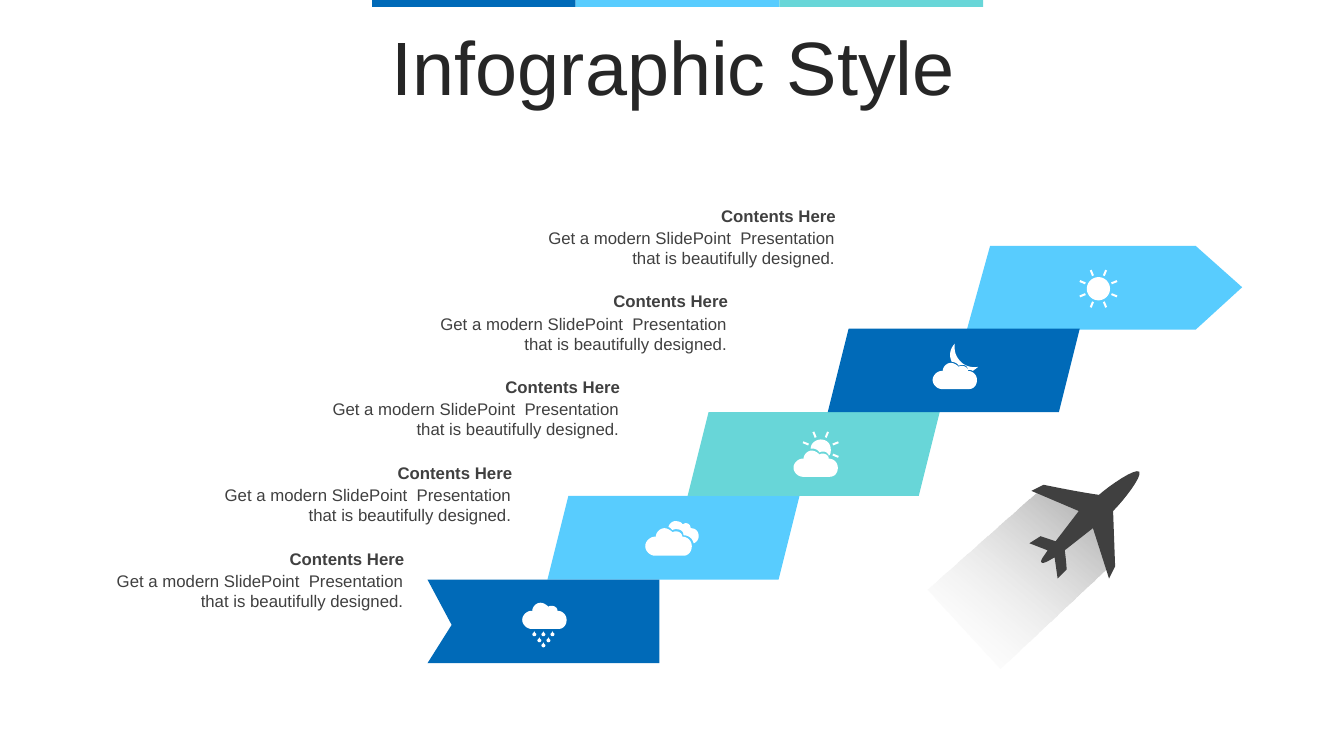
"""Build the "Infographic Style" slide: a rising ribbon of five weather steps and a plane."""
import math

import lxml.etree
import pptx
import pptx.dml.color
import pptx.enum.shapes
import pptx.enum.text
import pptx.oxml.ns
import pptx.util

RGB = pptx.dml.color.RGBColor
BLUE = RGB(0x00, 0x6A, 0xB8)
SKY = RGB(0x58, 0xCC, 0xFE)
TEAL = RGB(0x68, 0xD6, 0xD8)
WHITE = RGB(0xFF, 0xFF, 0xFF)
INK = RGB(0x26, 0x26, 0x26)
GRAY = RGB(0x40, 0x40, 0x40)
SILVER = RGB(0xA6, 0xA6, 0xA6)
FONT = "Arial"
ALIGN = pptx.enum.text.PP_ALIGN
MIDDLE = pptx.enum.text.MSO_ANCHOR.MIDDLE
SHAPE = pptx.enum.shapes.MSO_SHAPE

TITLE = "Infographic Style"
STEPS = [("Contents Here",
          "Get a modern SlidePoint  Presentation that is beautifully designed.")] * 5
BAR_COLORS = [BLUE, SKY, TEAL]
MIDDLE_COLORS = [SKY, TEAL, BLUE]

RIBBON_TAIL = "M 0 0 L 230 0 L 230 83 L 0 83 L 24 45"
RIBBON_HEAD = "M 23 0 L 227 0 L 273 41 L 227 83 L 0 83"
BEAM = "M 164 16 L 182 71 L 72 174 L 0 96 L 108 0"
PLANE = ("M 28 108 L 25 87 C 21 89 14 94 12 92 C 10 90 16 84 18 80 L 0 73 L 11 66 "
         "L 26 71 L 49 41 L 2 21 L 14 15 C 34 19 49 22 69 25 C 79 16 105 -2 109 2 "
         "C 112 7 93 31 83 41 L 85 96 L 79 108 L 63 58 L 35 80 C 36 85 37 99 37 99")
CLOUD = ("M 18 0 C 21 0 24 2 26 4 C 27 3 28 3 29 3 C 32 3 35 5 35 8 "
         "C 40 8 44 12 44 17 C 44 22 41 26 36 26 L 9 26 C 5 26 0 22 0 17 "
         "C 0 12 5 8 9 8 L 10 8 C 10 4 14 0 18 0")
BACK_CLOUD = ("M 30 0 C 33 0 36 1 37 3 C 38 3 39 2 40 2 C 43 2 45 4 45 7 "
              "C 50 7 53 10 53 15 C 53 18 51 21 48 22 C 47 17 43 14 38 14 "
              "C 38 10 35 8 31 8 C 30 8 28 8 27 9 C 26 8 25 6 23 6 C 24 2 27 0 30 0")
HIDDEN_SUN = ("M 27 8 C 33 8 37 12 37 18 C 37 20 37 23 35 24 C 35 22 32 20 30 20 "
              "C 28 20 27 20 26 21 C 25 19 22 17 19 17 L 17 17 C 17 12 22 8 27 8")
CRESCENT = ("M 22 0 C 21 7 23 13 28 18 C 32 22 38 24 45 23 C 43 25 41 26 40 27 "
            "C 38 26 37 26 36 26 L 35 26 C 35 23 33 21 30 21 C 28 21 27 21 26 22 "
            "C 25 20 22 18 19 18 C 16 12 17 5 22 0")
DROP = "M 0 0 C 0 1 1 2 2 3 C 2 6 -2 6 -2 3 C -1 2 0 1 0 0"
DROP_TIPS = [(12, 28), (21, 28), (30, 28), (17, 34), (26, 34), (21, 39)]


def contour(outline, dx=0, dy=0, scale=1):
    """Return the points of an outline, with its curves sampled."""
    tokens, points = outline.split(), []
    while tokens:
        n = 6 if tokens.pop(0) == "C" else 2
        v = [float(t) for t in tokens[:n]]
        del tokens[:n]
        if n == 2:
            points.append((v[0], v[1]))
            continue
        curve = [points[-1], v[0:2], v[2:4], v[4:6]]
        for k in range(1, 9):
            t = k / 8
            weights = [(1 - t) ** 3, 3 * t * (1 - t) ** 2, 3 * t * t * (1 - t), t ** 3]
            points.append(tuple(sum(w * c[a] for w, c in zip(weights, curve)) for a in (0, 1)))
    return [(dx + x * scale, dy + y * scale) for x, y in points]


def disc(cx, cy, radius):
    """Return the points of a circle."""
    angles = [math.tau * k / 48 for k in range(48)]
    return [(cx + radius * math.cos(a), cy + radius * math.sin(a)) for a in angles]


def rays(cx, cy, inner, outer, numbers):
    """Return the numbered sun rays, an eighth of a turn apart."""
    result = []
    for n in numbers:
        c, s = math.cos(math.pi * (n + 0.5) / 4), math.sin(math.pi * (n + 0.5) / 4)
        corners = [(inner, -1), (outer, -1), (outer, 1), (inner, 1)]
        result.append([(cx + r * c - h * s, cy + r * s + h * c) for r, h in corners])
    return result


def outline_shape(shapes, left, top, contours, color):
    """Draw contours given in hundredths of an inch from left and top."""
    placed = [[(pptx.util.Inches(left + x / 100), pptx.util.Inches(top + y / 100))
               for x, y in points] for points in contours]
    builder = shapes.build_freeform(*placed[0][0], scale=1.0)
    builder.add_line_segments(placed[0][1:], close=True)
    for points in placed[1:]:
        builder.move_to(*points[0])
        builder.add_line_segments(points[1:], close=True)
    return paint(builder.convert_to_shape(), color)


def paint(sp, color):
    """Give a shape a plain fill without line or shadow."""
    sp.shadow.inherit = False
    sp.fill.solid()
    sp.fill.fore_color.rgb = color
    sp.line.fill.background()
    return sp


def preset(shapes, kind, box, color):
    """Add a plain preset shape."""
    return paint(shapes.add_shape(kind, *map(pptx.util.Inches, box)), color)


def write(tf, text, size, color, align, bold=False):
    """Set and format the single paragraph of a text frame."""
    tf.word_wrap = True
    tf.text = text
    p = tf.paragraphs[0]
    p.alignment = align
    font = p.runs[0].font
    font.name, font.size, font.bold = FONT, pptx.util.Pt(size), bold
    font.color.rgb = color
    return p


def main():
    """Build and save the slide."""
    prs = pptx.Presentation()
    prs.slide_width, prs.slide_height = pptx.util.Inches(13.33), pptx.util.Inches(7.5)
    s = prs.slides.add_slide(prs.slide_layouts[5])
    shapes = s.shapes

    title = shapes.title
    title.left, title.top, title.width, title.height = map(
        pptx.util.Inches, (0.35, 0.31, 12.66, 0.79))
    p = write(title.text_frame, TITLE, 54, INK, ALIGN.CENTER)
    p.line_spacing = 0.9
    title.text_frame.vertical_anchor = MIDDLE
    title.text_frame.auto_size = pptx.enum.text.MSO_AUTO_SIZE.NONE

    for i, color in enumerate(BAR_COLORS):
        preset(shapes, SHAPE.RECTANGLE, (3.69 + 2.02 * i, 0, 2.02, 0.07), color)

    outline_shape(shapes, 9.59, 2.44, [contour(RIBBON_HEAD)], SKY)
    for i, color in enumerate(MIDDLE_COLORS):
        preset(shapes, SHAPE.PARALLELOGRAM,
               (5.43 + 1.39 * i, 4.92 - 0.83 * i, 2.5, 0.83), color)
    outline_shape(shapes, 4.24, 5.75, [contour(RIBBON_TAIL)], BLUE)

    for i, (heading, body) in enumerate(STEPS):
        left, top = 0.85 + 1.07 * i, 5.39 - 0.85 * i
        for text, dy, width, height, bold in ((body, 0.22, 3.25, 0.5, False),
                                              (heading, 0, 3.26, 0.3, True)):
            box = map(pptx.util.Inches, (left, top + dy, width, height))
            write(shapes.add_textbox(*box).text_frame, text, 12, GRAY, ALIGN.RIGHT, bold)

    beam = outline_shape(shapes, 9.2, 4.89, [contour(BEAM)], SILVER)
    beam.fill.gradient()
    beam.fill.gradient_angle = 50
    for stop, color in zip(beam.fill.gradient_stops, (WHITE, SILVER)):
        stop.color.rgb = color
    clear = beam.element.xpath(".//a:gs[1]/a:srgbClr")[0]
    lxml.etree.SubElement(clear, pptx.oxml.ns.qn("a:alpha")).set("val", "0")
    outline_shape(shapes, 10.21, 4.66, [contour(PLANE)], GRAY)

    rain = [contour(CLOUD)] + [contour(DROP, x, y) for x, y in DROP_TIPS]
    clouds = [contour(CLOUD, 0, 7, 1.05), contour(BACK_CLOUD)]
    sun_cloud = [contour(CLOUD, 0, 19), contour(HIDDEN_SUN)] + rays(27, 18, 13, 19, [0, 4, 5, 6, 7])
    moon_cloud = [contour(CLOUD, 0, 19), contour(CRESCENT)]
    sun = [disc(19.5, 19.5, 11.5)] + rays(19.5, 19.5, 14, 20, range(8))
    icons = [(5.18, 5.98, rain), (6.4, 5.17, clouds), (7.87, 4.28, sun_cloud),
             (9.25, 3.41, moon_cloud), (10.7, 2.67, sun)]
    for left, top, contours in icons:
        outline_shape(shapes, left, top, contours, WHITE)

    prs.save("out.pptx")


if __name__ == "__main__":
    main()
